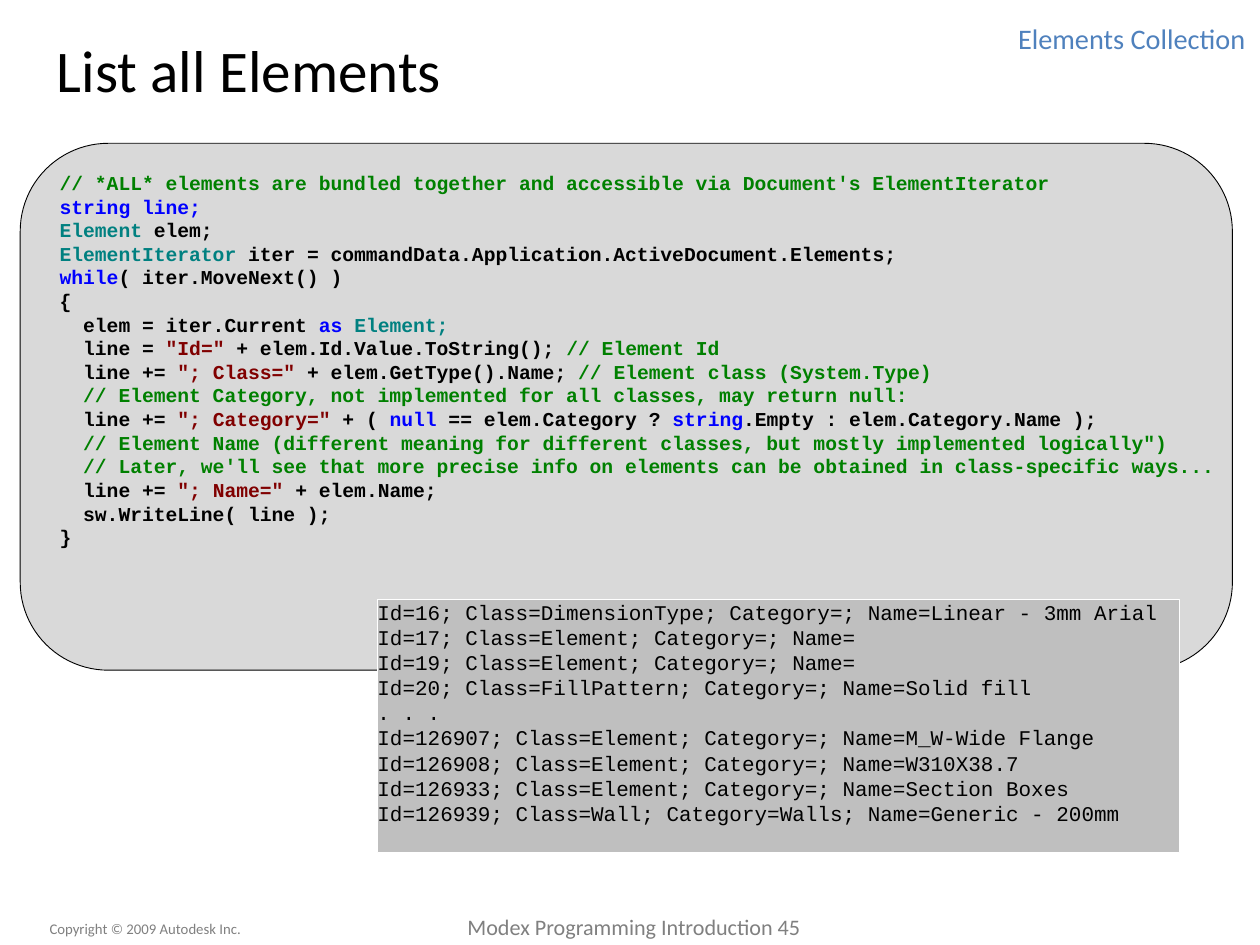
from pptx import Presentation
from pptx.dml.color import RGBColor
from pptx.enum.shapes import MSO_SHAPE
from pptx.enum.text import MSO_ANCHOR, PP_ALIGN
from pptx.util import Cm, Pt

BLACK, GREEN, BLUE, TEAL, MAROON = "000000", "008000", "0000FF", "008080", "800000"
GRAY, ACCENT = "808080", "4F81BD"

CODE = [
    [("// *ALL* elements are bundled together and accessible via Document's ElementIterator", GREEN)],
    [("string line;", BLUE)],
    [("Element", TEAL), (" elem;", BLACK)],
    [("ElementIterator", TEAL), (" iter = commandData.Application.ActiveDocument.Elements;", BLACK)],
    [("while", BLUE), ("( iter.MoveNext() )", BLACK)],
    [("{", BLACK)],
    [("  elem = iter.Current ", BLACK), ("as ", BLUE), ("Element;", TEAL)],
    [("  line = ", BLACK), ('"Id="', MAROON), (" + elem.Id.Value.ToString(); ", BLACK), ("// Element Id", GREEN)],
    [("  line += ", BLACK), ('"; Class="', MAROON), (" + elem.GetType().Name; ", BLACK),
     ("// Element class (System.Type)", GREEN)],
    [("  // Element Category, not implemented for all classes, may return null:", GREEN)],
    [("  line += ", BLACK), ('"; Category="', MAROON), (" + ( ", BLACK), ("null", BLUE),
     (" == elem.Category ? ", BLACK), ("string", BLUE), (".Empty : elem.Category.Name );", BLACK)],
    [("  // Element Name (different meaning for different classes, but mostly implemented logically\")", GREEN)],
    [("  // Later, we'll see that more precise info on elements can be obtained in class-specific ways...", GREEN)],
    [("  line += ", BLACK), ('"; Name="', MAROON), (" + elem.Name;", BLACK)],
    [("  sw.WriteLine( line );", BLACK)],
    [("}", BLACK)],
]

OUTPUT = [
    "Id=16; Class=DimensionType; Category=; Name=Linear - 3mm Arial",
    "Id=17; Class=Element; Category=; Name=",
    "Id=19; Class=Element; Category=; Name=",
    "Id=20; Class=FillPattern; Category=; Name=Solid fill",
    ". . .",
    "Id=126907; Class=Element; Category=; Name=M_W-Wide Flange",
    "Id=126908; Class=Element; Category=; Name=W310X38.7",
    "Id=126933; Class=Element; Category=; Name=Section Boxes",
    "Id=126939; Class=Wall; Category=Walls; Name=Generic - 200mm",
]

# text, size, colour, alignment, left, top, width, height
LABELS = [
    ("List all Elements", 48, BLACK, PP_ALIGN.LEFT, 1.63, 0.53, 30.5, 2.9),
    ("Elements Collection", 23, ACCENT, PP_ALIGN.RIGHT, 27.74, 0.6, 7.97, 1),
    ("Modex Programming Introduction 45", 18, GRAY, PP_ALIGN.CENTER, 12.7, 26.06, 10.95, 1.04),
    ("Copyright © 2009 Autodesk Inc.", 12, GRAY, PP_ALIGN.LEFT, 1.42, 26.24, 6.4, 0.79),
]


def color(value):
    return RGBColor.from_string(value)


def style(font, name, size, value, bold=False):
    font.name, font.size, font.bold = name, Pt(size), bold
    font.color.rgb = color(value)


def add_panel(page, kind, place, fill, line):
    panel = page.shapes.add_shape(kind, *map(Cm, place))
    panel.shadow.inherit = False
    panel.fill.solid()
    panel.fill.fore_color.rgb = color(fill)
    panel.line.color.rgb = color(line)
    panel.line.width = Pt(0.75)
    return panel


def prepare(box, anchor, wrap=True):
    frame = box.text_frame
    frame.margin_left = frame.margin_right = frame.margin_top = frame.margin_bottom = 0
    frame.vertical_anchor = anchor
    frame.word_wrap = wrap
    return frame


def write_lines(frame, lines, size, bold):
    for index, spans in enumerate(lines):
        para = frame.paragraphs[0] if index == 0 else frame.add_paragraph()
        para.alignment = PP_ALIGN.LEFT
        para.line_spacing = Pt(size * 1.2)
        for text, value in spans:
            span = para.add_run()
            span.text = text
            style(span.font, "Courier New", size, value, bold)


def main():
    deck = Presentation()
    deck.slide_width, deck.slide_height = Cm(36.12), Cm(27.1)
    page = deck.slides.add_slide(deck.slide_layouts[6])

    code_panel = add_panel(page, MSO_SHAPE.ROUNDED_RECTANGLE, (0.58, 4.11, 34.75, 15.11), "D9D9D9", BLACK)
    code_panel.adjustments[0] = 0.167

    for text, size, value, align, *place in LABELS:
        box = page.shapes.add_textbox(*map(Cm, place))
        frame = prepare(box, MSO_ANCHOR.MIDDLE)
        frame.text = text
        para = frame.paragraphs[0]
        para.alignment = align
        style(para.runs[0].font, "Calibri", size, value)

    code_box = page.shapes.add_textbox(Cm(1.71), Cm(4.9), Cm(33.6), Cm(11))
    write_lines(prepare(code_box, MSO_ANCHOR.TOP, wrap=False), CODE, 16, True)

    output_panel = add_panel(page, MSO_SHAPE.RECTANGLE, (10.82, 17.2, 22.99, 7.26), "BFBFBF", "FFFFFF")
    output_lines = [[(line, BLACK)] for line in OUTPUT]
    write_lines(prepare(output_panel, MSO_ANCHOR.TOP), output_lines, 17, False)

    deck.save("out.pptx")


if __name__ == "__main__":
    main()
